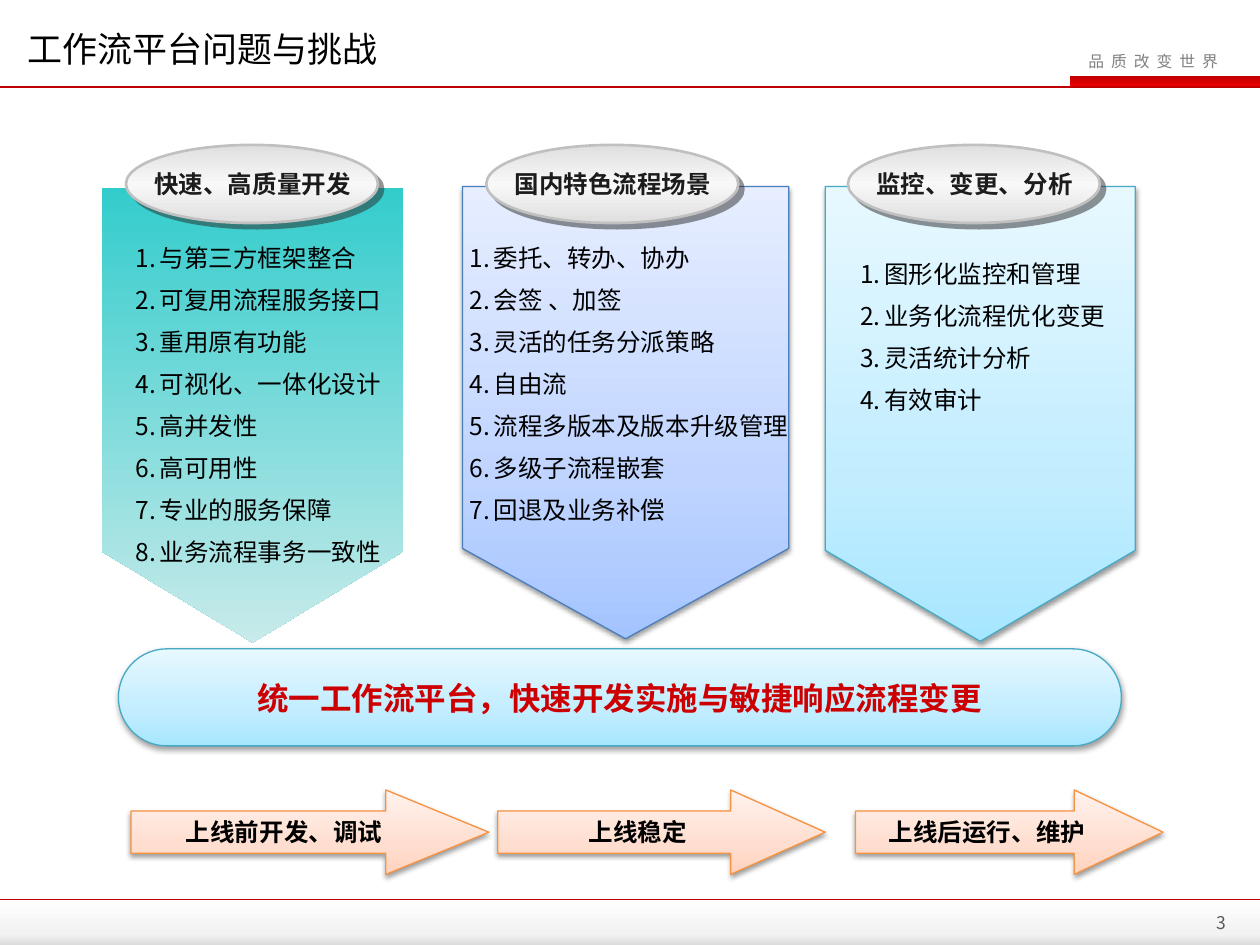
from lxml.etree import SubElement
from pptx import Presentation
from pptx.dml.color import RGBColor
from pptx.enum.shapes import MSO_CONNECTOR as Connector, MSO_SHAPE as Shape
from pptx.enum.text import MSO_ANCHOR as Anchor, PP_ALIGN as Align
from pptx.oxml.ns import qn
from pptx.util import Inches, Pt

BLACK = RGBColor(0x00, 0x00, 0x00)
INK = RGBColor(0x1C, 0x1C, 0x1C)
SHADE = RGBColor(0x29, 0x29, 0x29)
DARK_GRAY = RGBColor(0x59, 0x59, 0x59)
GRAY = RGBColor(0x80, 0x80, 0x80)
SILVER = RGBColor(0xC0, 0xC0, 0xC0)
PEARL = RGBColor(0xDF, 0xDF, 0xDF)
PALE = RGBColor(0xF8, 0xF8, 0xF8)
DEEP_RED = RGBColor(0xC0, 0x00, 0x00)
BRIGHT_RED = RGBColor(0xEE, 0x00, 0x00)
RED = RGBColor(0xCC, 0x00, 0x00)
BLUE = RGBColor(0x4B, 0x7E, 0xBC)
AQUA = RGBColor(0x46, 0xAA, 0xC5)
ORANGE = RGBColor(0xF6, 0x92, 0x40)

# Gradients: angle in degrees clockwise, then (position in percent, colour) stops.
BADGE_FILL = (90, [(0, DEEP_RED), (100, BRIGHT_RED)])
FOOTER_FILL = (90, [(0, RGBColor(0xFF, 0xFF, 0xFF)), (75, RGBColor(0xF2, 0xF2, 0xF2)),
                    (100, RGBColor(0xDC, 0xDC, 0xDC))])
SILVER_FILL = (90, [(0, PEARL), (50, PALE), (100, PEARL)])
TEAL_FILL = (90, [(0, RGBColor(0x33, 0xCC, 0xCC)), (100, RGBColor(0xC8, 0xEA, 0xEA))])
BLUE_FILL = (270, [(0, RGBColor(0xA4, 0xC4, 0xFF)), (35, RGBColor(0xBF, 0xD4, 0xFF)),
                   (100, RGBColor(0xE6, 0xEE, 0xFF))])
AQUA_FILL = (270, [(0, RGBColor(0xA7, 0xE6, 0xFF)), (35, RGBColor(0xC1, 0xED, 0xFF)),
                   (100, RGBColor(0xE7, 0xF8, 0xFF))])
PEACH_FILL = (270, [(0, RGBColor(0xFF, 0xD2, 0xBD)), (35, RGBColor(0xFF, 0xDE, 0xD0)),
                    (100, RGBColor(0xFF, 0xF2, 0xED))])

# Shadows: colour, opacity in percent, blur and distance in points, direction.
SOFT_SHADOW = (BLACK, 38, 3.1, 1.6, 90)
HARD_SHADOW = (SHADE, 50, 0, 4.2, 45)

# Columns: panel box, fill, outline, heading left, heading, list box, items.
COLUMNS = [
    ((0.81, 1.49, 2.39, 3.61), TEAL_FILL, None, 1.0, "快速、高质量开发",
     (0.98, 1.78, 2.3, 2.79),
     ["与第三方框架整合", "可复用流程服务接口", "重用原有功能", "可视化、一体化设计",
      "高并发性", "高可用性", "专业的服务保障", "业务流程事务一致性"]),
    ((3.67, 1.48, 2.59, 3.59), BLUE_FILL, BLUE, 3.86, "国内特色流程场景",
     (3.63, 1.78, 2.83, 2.66),
     ["委托、转办、协办", "会签 、加签", "灵活的任务分派策略", "自由流",
      "流程多版本及版本升级管理", "多级子流程嵌套", "回退及业务补偿"]),
    ((6.55, 1.48, 2.46, 3.61), AQUA_FILL, AQUA, 6.73, "监控、变更、分析",
     (6.73, 1.91, 2.3, 2.12),
     ["图形化监控和管理", "业务化流程优化变更", "灵活统计分析", "有效审计"]),
]
# Stages: left, width, head length relative to height, label.
STAGES = [(1.04, 2.84, 1.22, "上线前开发、调试"),
          (3.95, 2.6, 1.12, "上线稳定"),
          (6.79, 2.44, 1.05, "上线后运行、维护")]


def write_text(frame, lines, size=14, color=BLACK, bold=False, align=Align.LEFT,
               anchor=Anchor.TOP, wrap=True, spacing=None, numbered=False, tracking=0):
    frame.word_wrap = wrap
    frame.vertical_anchor = anchor
    for index, line in enumerate(lines):
        para = frame.add_paragraph() if index else frame.paragraphs[0]
        para.alignment = align
        if spacing:
            para.line_spacing = Pt(spacing)
        if numbered:
            props = para._p.get_or_add_pPr()
            props.set("marL", str(Inches(0.19)))
            props.set("indent", str(-Inches(0.19)))
            SubElement(props, qn("a:buFont"), typeface="+mj-lt")
            SubElement(props, qn("a:buAutoNum"), type="arabicPeriod")
        span = para.add_run()
        span.text = line
        span.font.name = Painter.FONT
        span.font.size = Pt(size)
        span.font.bold = bold
        span.font.color.rgb = color
        props = span._r.get_or_add_rPr()
        SubElement(props, qn("a:ea"), typeface=Painter.FONT)
        if tracking:
            props.set("spc", str(int(tracking * 100)))


def paint_gradient(shape, angle, stops):
    shape.fill.gradient()
    shape.fill.gradient_angle = 360 - angle
    stop_list = next(shape._element.spPr.iter(qn("a:gsLst")))
    for stop in list(stop_list):
        stop_list.remove(stop)
    for position, color in stops:
        stop = SubElement(stop_list, qn("a:gs"), pos=str(position * 1000))
        SubElement(stop, qn("a:srgbClr"), val=str(color))


def cast_shadow(shape, color, opacity, blur, distance, direction):
    effects = shape._element.spPr.find(qn("a:effectLst"))
    outer = SubElement(effects, qn("a:outerShdw"), blurRad=str(Pt(blur)),
                       dist=str(Pt(distance)), dir=str(direction * 60000),
                       algn="ctr", rotWithShape="0")
    tint = SubElement(outer, qn("a:srgbClr"), val=str(color))
    SubElement(tint, qn("a:alpha"), val=str(opacity * 1000))


class Painter:
    """Holds the typeface and the page being drawn."""

    FONT = "Noto Sans CJK SC"

    def __init__(self, page):
        self.page = page

    def text(self, place, *lines, **style):
        box = self.page.shapes.add_textbox(*map(Inches, place))
        write_text(box.text_frame, lines, **style)

    def shape(self, kind, place, fill, outline=None, weight=0.75, shadow=None, adjust=()):
        shape = self.page.shapes.add_shape(kind, *map(Inches, place))
        for index, value in enumerate(adjust):
            shape.adjustments[index] = value
        paint_gradient(shape, *fill)
        if outline is None:
            shape.line.fill.background()
        else:
            shape.line.color.rgb = outline
            shape.line.width = Pt(weight)
        shape.shadow.inherit = False
        if shadow:
            cast_shadow(shape, *shadow)
        return shape

    def rule(self, top, weight):
        """Draw a red line across the whole page."""
        line = self.page.shapes.add_connector(
            Connector.STRAIGHT, 0, Inches(top), Inches(10), Inches(top))
        line.line.color.rgb = DEEP_RED
        line.line.width = Pt(weight)
        SubElement(line._element.spPr, qn("a:effectLst"))


def draw_frame(painter):
    painter.shape(Shape.RECTANGLE, (8.49, 0.6, 1.51, 0.09), BADGE_FILL)
    painter.text((8.54, 0.36, 1.36, 0.25), "品 质 改 变 世 界", size=9, color=GRAY,
                 wrap=False, tracking=1)
    painter.rule(0.69, 1.5)
    painter.shape(Shape.RECTANGLE, (0, 7.14, 10, 0.36), FOOTER_FILL)
    painter.rule(7.14, 1)
    painter.text((8.65, 7.2, 1.18, 0.25), "3", size=10, color=DARK_GRAY,
                 align=Align.RIGHT, anchor=Anchor.MIDDLE)
    painter.text((0.12, 0.13, 7.1, 0.38), "工作流平台问题与挑战", size=20, spacing=27)


def draw_columns(painter):
    for panel, fill, outline, left, heading, list_place, items in COLUMNS:
        painter.shape(Shape.FLOWCHART_OFFPAGE_CONNECTOR, panel, fill, outline,
                      shadow=SOFT_SHADOW if outline else None)
        painter.shape(Shape.OVAL, (left, 1.15, 2, 0.62), SILVER_FILL, SILVER, 1.5, HARD_SHADOW)
        painter.text((left + 0.12, 1.29, 1.77, 0.34), heading, color=INK, bold=True,
                     align=Align.CENTER, wrap=False)
        painter.text(list_place, *items, spacing=24, numbered=True)


def draw_platform(painter):
    painter.shape(Shape.ROUNDED_RECTANGLE, (0.94, 5.15, 7.96, 0.77), AQUA_FILL, AQUA,
                  shadow=SOFT_SHADOW, adjust=[0.5])
    painter.text((1.68, 5.34, 6.47, 0.4), "统一工作流平台，快速开发实施与敏捷响应流程变更",
                 size=18, color=RED, bold=True, align=Align.CENTER)


def draw_stages(painter):
    for left, width, head, label in STAGES:
        arrow = painter.shape(Shape.RIGHT_ARROW, (left, 6.27, width, 0.67), PEACH_FILL,
                              ORANGE, shadow=SOFT_SHADOW, adjust=[0.5, head])
        write_text(arrow.text_frame, [label], bold=True, align=Align.CENTER,
                   anchor=Anchor.MIDDLE)


def main():
    deck = Presentation()
    deck.slide_width, deck.slide_height = Inches(10), Inches(7.5)
    painter = Painter(deck.slides.add_slide(deck.slide_layouts[6]))
    draw_frame(painter)
    draw_columns(painter)
    draw_platform(painter)
    draw_stages(painter)
    deck.save("out.pptx")


if __name__ == "__main__":
    main()
